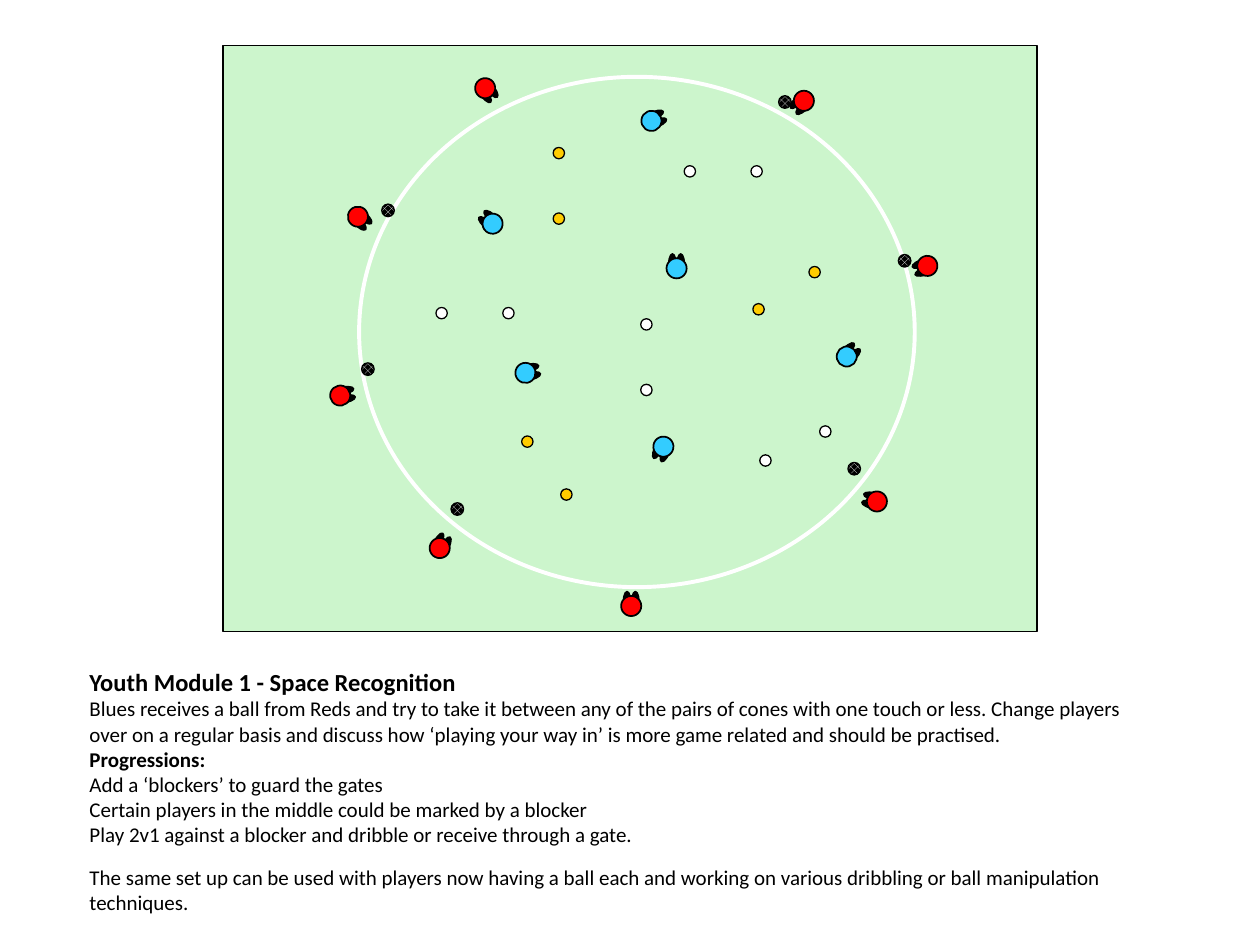
import math
from dataclasses import dataclass
from typing import Optional

import pptx
import pptx.dml.color
import pptx.enum.dml
import pptx.enum.shapes
import pptx.enum.text
import pptx.util

SHAPES = pptx.enum.shapes.MSO_SHAPE
Color = pptx.dml.color.RGBColor


@dataclass(frozen=True)
class Theme:
    grass: str = "CCF5CC"
    white: str = "FFFFFF"
    black: str = "000000"
    red: str = "FF0000"
    blue: str = "33CCFF"
    amber: str = "FFCC00"
    font: str = "Calibri"
    title_size: float = 14
    body_size: float = 12
    paragraph_gap: float = 9.8
    thin: float = 0.75
    outline: float = 1
    ring: float = 2.25


@dataclass(frozen=True)
class Gate:
    """Two cones of one colour, each at a column and row of the grid."""
    color: str
    first: tuple[float, float]
    second: tuple[float, float]


@dataclass(frozen=True)
class Player:
    """Centre on the grid, and the heading clockwise from up."""
    color: str
    column: float
    row: float
    heading: float


@dataclass(frozen=True)
class Line:
    text: str
    size: float
    bold: bool = False
    gap: float = 0


THEME = Theme()

# The slide is a grid of 100 columns by 75 rows; sizes below are in cells
COLUMNS, ROWS = 100, 75
CELL = pptx.util.Inches(0.1)
CONE, BALL, BODY = 0.9, 1.0, 1.6
FOOT_WIDTH, FOOT_LENGTH = 0.6, 1.6
FOOT_SIDE, FOOT_FORWARD = 0.33, 0.36

GATES = [
    Gate(THEME.white, (35.05, 24.85), (40.35, 24.85)),
    Gate(THEME.white, (51.3, 30.95), (51.3, 25.75)),
    Gate(THEME.amber, (41.85, 35.05), (44.95, 39.25)),
    Gate(THEME.amber, (44.35, 17.35), (44.35, 12.15)),
    Gate(THEME.white, (60.75, 36.55), (65.5, 34.25)),
    Gate(THEME.amber, (64.65, 21.6), (60.2, 24.55)),
    Gate(THEME.white, (54.75, 13.6), (60.05, 13.6)),
]

PLAYERS = [
    Player(THEME.red, 27, 31.4, 79),
    Player(THEME.blue, 39.1, 17.75, 310.8),
    Player(THEME.blue, 53.7, 21.3, 0),
    Player(THEME.blue, 52.65, 35.45, 203.4),
    Player(THEME.blue, 51.7, 9.6, 67.5),
    Player(THEME.blue, 41.7, 29.6, 77.3),
    Player(THEME.blue, 67.2, 28.3, 44.6),
    Player(THEME.red, 34.9, 43.5, 27.3),
    Player(THEME.red, 50.1, 48.1, 0),
    Player(THEME.red, 28.4, 17.2, 132.7),
    Player(THEME.red, 38.5, 7, 142.6),
    Player(THEME.red, 69.6, 39.8, 283.5),
    Player(THEME.red, 73.6, 21.1, 250.2),
    Player(THEME.red, 63.8, 8, 225.5),
]

BALLS = [(67.8, 37.2), (62.3, 8.1), (30.8, 16.7),
         (36.3, 40.4), (29.2, 29.3), (71.8, 20.7)]

LINES = [
    Line("Youth Module 1 - Space Recognition", THEME.title_size, bold=True),
    Line("Blues receives a ball from Reds and try to take it between any of "
         "the pairs of cones with one touch or less. Change players over on a "
         "regular basis and discuss how ‘playing your way in’ is more game "
         "related and should be practised.", THEME.body_size),
    Line("Progressions:", THEME.body_size, bold=True),
    Line("Add a ‘blockers’ to guard the gates", THEME.body_size),
    Line("Certain players in the middle could be marked by a blocker",
         THEME.body_size),
    Line("Play 2v1 against a blocker and dribble or receive through a gate.",
         THEME.body_size),
    Line("The same set up can be used with players now having a ball each and "
         "working on various dribbling or ball manipulation techniques.",
         THEME.body_size, gap=THEME.paragraph_gap),
]


def cells(count: float) -> int:
    return round(count * CELL)


def add_centred(shapes, kind, column: float, row: float, width: float,
                height: float, fill: Optional[str], line: str,
                weight: float = THEME.thin, angle: float = 0):
    """Draw a shape around its centre on the grid."""
    shape = shapes.add_shape(kind, cells(column - width / 2),
                             cells(row - height / 2),
                             cells(width), cells(height))
    shape.shadow.inherit = False
    shape.rotation = angle
    if fill is None:
        shape.fill.background()
    else:
        shape.fill.solid()
        shape.fill.fore_color.rgb = Color.from_string(fill)
    shape.line.color.rgb = Color.from_string(line)
    shape.line.width = pptx.util.Pt(weight)
    return shape


def add_player(shapes, player: Player) -> None:
    """Draw two feet pointing along the heading, then the body over them."""
    turn = math.radians(player.heading)
    for side in (-FOOT_SIDE, FOOT_SIDE):
        column = (player.column + side * math.cos(turn)
                  + FOOT_FORWARD * math.sin(turn))
        row = (player.row + side * math.sin(turn)
               - FOOT_FORWARD * math.cos(turn))
        add_centred(shapes, SHAPES.OVAL, column, row, FOOT_WIDTH, FOOT_LENGTH,
                    THEME.black, THEME.black, angle=player.heading)
    add_centred(shapes, SHAPES.OVAL, player.column, player.row, BODY, BODY,
                player.color, THEME.black, THEME.outline, player.heading)


def add_ball(shapes, column: float, row: float) -> None:
    ball = add_centred(shapes, SHAPES.OVAL, column, row, BALL, BALL,
                       THEME.black, THEME.black)
    ball.fill.patterned()
    ball.fill.pattern = pptx.enum.dml.MSO_PATTERN.SOLID_DIAMOND
    ball.fill.fore_color.rgb = Color.from_string(THEME.white)
    ball.fill.back_color.rgb = Color.from_string(THEME.black)


def add_notes_box(page, lines: list[Line]) -> None:
    box = page.shapes.add_textbox(cells(6.7), cells(52.5),
                                  cells(85.5), cells(21))
    frame = box.text_frame
    frame.word_wrap = True
    frame.vertical_anchor = pptx.enum.text.MSO_ANCHOR.TOP
    frame.margin_left = frame.margin_right = cells(0.4)
    frame.margin_top = frame.margin_bottom = cells(0.4)
    for index, line in enumerate(lines):
        para = frame.add_paragraph() if index else frame.paragraphs[0]
        if line.gap:
            para.space_before = pptx.util.Pt(line.gap)
        span = para.add_run()
        span.text = line.text
        span.font.name = THEME.font
        span.font.size = pptx.util.Pt(line.size)
        span.font.bold = line.bold
        span.font.color.rgb = Color.from_string(THEME.black)


def main() -> None:
    deck = pptx.Presentation()
    deck.slide_width, deck.slide_height = cells(COLUMNS), cells(ROWS)
    page = deck.slides.add_slide(deck.slide_layouts[6])

    # Coaching text
    add_notes_box(page, LINES)

    # Pitch and circle
    drill = page.shapes.add_group_shape().shapes
    add_centred(drill, SHAPES.RECTANGLE, 50, 26.85, 64.6, 46.5,
                THEME.grass, THEME.black)
    add_centred(drill, SHAPES.OVAL, 50.55, 26.35, 44.1, 40.5,
                None, THEME.white, THEME.ring)

    # Cones, players and balls
    for gate in GATES:
        for column, row in (gate.first, gate.second):
            add_centred(drill, SHAPES.OVAL, column, row, CONE, CONE,
                        gate.color, THEME.black)
    for player in PLAYERS:
        add_player(drill, player)
    for column, row in BALLS:
        add_ball(drill, column, row)

    deck.save("out.pptx")


if __name__ == "__main__":
    main()
